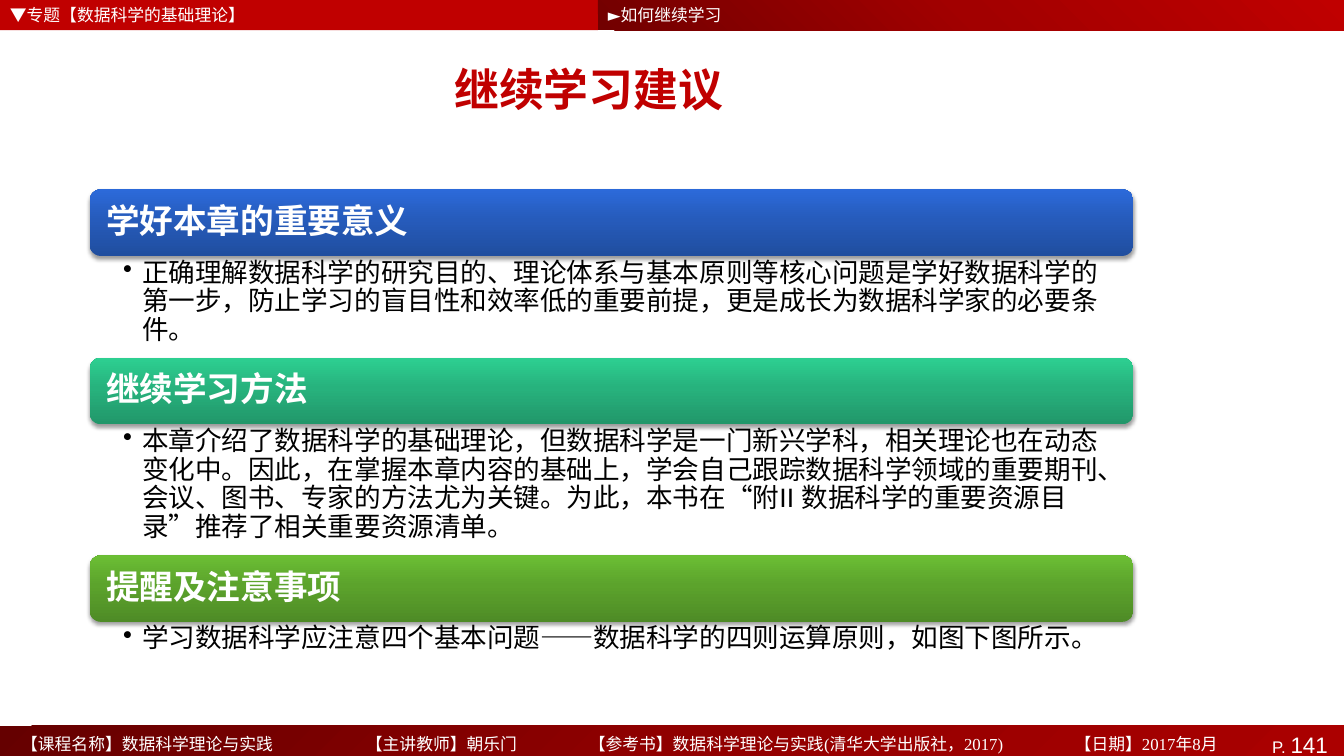
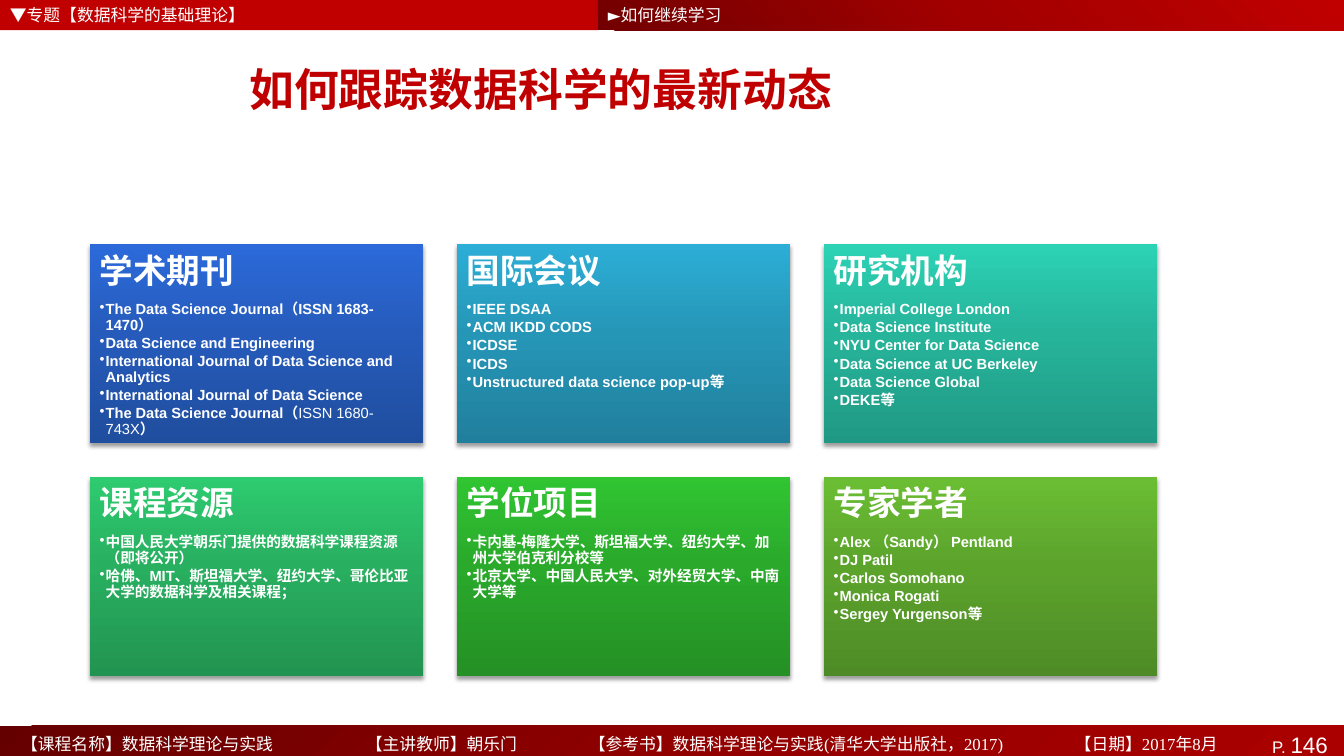
from lxml import etree
from copy import deepcopy
from pptx import Presentation
from pptx.dml.color import RGBColor
from pptx.enum.shapes import MSO_SHAPE
from pptx.enum.text import MSO_ANCHOR, PP_ALIGN
from pptx.oxml.ns import qn
from pptx.util import Inches, Pt

RECTANGLE, ROUNDED = MSO_SHAPE.RECTANGLE, MSO_SHAPE.ROUNDED_RECTANGLE
TOP, MIDDLE = MSO_ANCHOR.TOP, MSO_ANCHOR.MIDDLE
LEFT, CENTER, RIGHT = PP_ALIGN.LEFT, PP_ALIGN.CENTER, PP_ALIGN.RIGHT

# Gradients: colours at 0 %, the middle stop and 100 %
HEADER_RED = ("720000", "A20000", "C00000")
FOOTER_RED = ("650000", "900000", "AB0000")
BLUE = ("204E9F", "265BBB", "2C6ADA")
CYAN = ("207F9C", "2696B7", "2CAED6")
TURQUOISE = ("209984", "26B49B", "2CD2B4")
TEAL = ("21976A", "27B27D", "2DCF91")
EMERALD = ("229451", "28AF60", "2ECB70")
GREEN = ("249025", "2AA92B", "31C532")
OLIVE = ("4E8B26", "5CA32C", "6BBE34")


def color(hex_string):
    return RGBColor.from_string(hex_string)


class Deck:
    WHITE, BLACK, RED = "FFFFFF", "000000", "C00000"
    SANS, SERIF, CHINESE = "Arial", "Times New Roman", "Noto Sans CJK SC"
    HEADERS = ("▼专题【数据科学的基础理论】", "►如何继续学习")
    FOOTER = ("【课程名称】数据科学理论与实践", "【主讲教师】朝乐门",
              "【参考书】数据科学理论与实践(清华大学出版社，2017)", "【日期】2017年8月")
    FOOTER_TABS = (3.42, 5.63, 10.45)

    def __init__(self):
        self.presentation = Presentation()
        self.presentation.slide_width = Inches(13.33)
        self.presentation.slide_height = Inches(7.5)
        self.slide = None

    # Text
    def frame(self, shape, insets=(0.1, 0.05, 0.1, 0.05), anchor=TOP):
        frame = shape.text_frame
        frame.word_wrap = True
        frame.vertical_anchor = anchor
        (frame.margin_left, frame.margin_top,
         frame.margin_right, frame.margin_bottom) = map(Inches, insets)
        return frame

    def text_box(self, left, top, width, height, insets, anchor=TOP):
        box = self.slide.shapes.add_textbox(
            Inches(left), Inches(top), Inches(width), Inches(height))
        return self.frame(box, insets, anchor)

    def set_text(self, paragraph, text, size, fill=WHITE, name=SANS, bold=False,
                 align=LEFT, line=None, after=0, bullet=None, tabs=()):
        paragraph.text = text
        paragraph.alignment = align
        paragraph.space_after = Pt(after)
        if line:
            paragraph.line_spacing = line
        properties = paragraph._p.get_or_add_pPr()
        if bullet:
            properties.set("marL", str(Inches(bullet)))
            properties.set("indent", str(-Inches(bullet)))
            etree.SubElement(properties, qn("a:buChar"), char="•")
        if tabs:
            tab_list = etree.SubElement(properties, qn("a:tabLst"))
            for position in tabs:
                etree.SubElement(tab_list, qn("a:tab"), pos=str(Inches(position)), algn="l")
        font = paragraph.font
        font.size, font.bold, font.name = Pt(size), bold, name
        font.color.rgb = color(fill)
        etree.SubElement(properties.find(qn("a:defRPr")), qn("a:ea"), typeface=self.CHINESE)

    # Filled shapes
    def block(self, kind, left, top, width, height, fill, angle=90, middle=55):
        shape = self.slide.shapes.add_shape(
            kind, Inches(left), Inches(top), Inches(width), Inches(height))
        shape.shadow.inherit = False
        shape.line.fill.background()
        if isinstance(fill, str):
            shape.fill.solid()
            shape.fill.fore_color.rgb = color(fill)
            return shape
        shape.fill.gradient()
        shape.fill.gradient_angle = angle
        stop_list = shape._element.spPr.find(".//" + qn("a:gsLst"))
        stop_list.append(deepcopy(stop_list[0]))
        for stop, hex_string, percent in zip(shape.fill.gradient_stops, fill, (0, middle, 100)):
            stop.color.rgb = color(hex_string)
            stop.position = percent / 100
        return shape

    def shadowed(self, *arguments):
        shape = self.block(*arguments)
        effects = shape._element.spPr.find(qn("a:effectLst"))
        shadow = etree.SubElement(
            effects, qn("a:outerShdw"), blurRad=str(Pt(3.1)), dist=str(Pt(2)),
            dir="5400000", algn="ctr", rotWithShape="0")
        tint = etree.SubElement(shadow, qn("a:srgbClr"), val=self.BLACK)
        etree.SubElement(tint, qn("a:alpha"), val="38000")
        return shape

    # Shared header, footer and title
    def new_slide(self, title, title_width, page):
        self.slide = self.presentation.slides.add_slide(self.presentation.slide_layouts[6])
        bars = (self.block(RECTANGLE, 0, 0, 5.93, 0.3, self.RED),
                self.block(RECTANGLE, 5.93, 0, 7.4, 0.3, HEADER_RED, 45, 50))
        for bar, text in zip(bars, self.HEADERS):
            self.set_text(self.frame(bar, anchor=MIDDLE).paragraphs[0], text, 12)

        footer = self.block(RECTANGLE, 0, 7.2, 13.33, 0.37, FOOTER_RED, 315, 50)
        number = self.frame(footer, (0.1, 0.05, 0.16, 0.05), MIDDLE).paragraphs[0]
        self.set_text(number, "P. ", 12, align=RIGHT)
        run = number.add_run()
        run.text = str(page)
        run.font.size = Pt(16)
        details = self.text_box(0.21, 7.2, 12.3, 0.35, (0, 0, 0, 0), MIDDLE)
        self.set_text(details.paragraphs[0], "\t".join(self.FOOTER), 12,
                      name=self.SERIF, tabs=self.FOOTER_TABS)

        heading = self.text_box(0.44, 0.43, title_width, 0.9, (0.1, 0.05, 0.1, 0.05), MIDDLE)
        self.set_text(heading.paragraphs[0], title, 32, self.RED, self.CHINESE, True, CENTER)

    # Heading bar with a bulleted text below it
    def section(self, top, heading, text, text_height, fill):
        left, width, bar_height = 0.89, 10.35, 0.66
        bar = self.shadowed(ROUNDED, left, top, width, bar_height, fill)
        frame = self.frame(bar, (0.13, 0.1, 0.13, 0.1), MIDDLE)
        self.set_text(frame.paragraphs[0], heading, 24, bold=True, line=0.9)
        body = self.text_box(left, top + bar_height, width, text_height,
                             (0.33, 0.03, 0.19, 0.03))
        self.set_text(body.paragraphs[0], text, 19, self.BLACK, line=0.9, bullet=0.19)
        return top + bar_height + text_height

    # Card with a heading and small bullets
    def card(self, left, top, width, height, heading, items, fill):
        shape = self.shadowed(RECTANGLE, left, top, width, height, fill)
        frame = self.frame(shape, (0.1, 0.1, 0.1, 0.1))
        self.set_text(frame.paragraphs[0], heading, 24, bold=True, line=0.9, after=8.4)
        for item in items:
            paragraph = frame.add_paragraph()
            parts = (item,) if isinstance(item, str) else item
            self.set_text(paragraph, parts[0], 10.5, bold=True, line=0.9, after=1.6, bullet=0.06)
            for index, part in enumerate(parts[1:]):
                run = paragraph.add_run()
                run.text = part
                run.font.bold = index % 2 == 1


SECTIONS = (
    ("学好本章的重要意义",
     "正确理解数据科学的研究目的、理论体系与基本原则等核心问题是学好数据科学的第一步，"
     "防止学习的盲目性和效率低的重要前提，更是成长为数据科学家的必要条件。", 1.01, BLUE),
    ("继续学习方法",
     "本章介绍了数据科学的基础理论，但数据科学是一门新兴学科，相关理论也在动态变化中。"
     "因此，在掌握本章内容的基础上，学会自己跟踪数据科学领域的重要期刊、会议、图书、"
     "专家的方法尤为关键。为此，本书在“附II 数据科学的重要资源目录”推荐了相关重要资源清单。",
     1.3, TEAL),
    ("提醒及注意事项",
     "学习数据科学应注意四个基本问题——数据科学的四则运算原则，如图下图所示。", 0.43, OLIVE),
)

# An item given as a tuple alternates bold and regular parts
CARDS = (
    ("学术期刊", ("The Data Science Journal（ISSN 1683-1470）",
              "Data Science and Engineering",
              "International Journal of Data Science and Analytics",
              "International Journal of Data Science",
              ("The Data Science Journal（", "ISSN 1680-743X", "）")), BLUE),
    ("国际会议", ("IEEE DSAA", "ACM IKDD CODS", "ICDSE", "ICDS",
              "Unstructured data science pop-up等"), CYAN),
    ("研究机构", ("Imperial College London", "Data Science Institute",
              "NYU Center for Data Science", "Data Science at UC Berkeley",
              "Data Science Global", "DEKE等"), TURQUOISE),
    ("课程资源", ("中国人民大学朝乐门提供的数据科学课程资源（即将公开）",
              "哈佛、MIT、斯坦福大学、纽约大学、哥伦比亚大学的数据科学及相关课程；"), EMERALD),
    ("学位项目", ("卡内基-梅隆大学、斯坦福大学、纽约大学、加州大学伯克利分校等",
              "北京大学、中国人民大学、对外经贸大学、中南大学等"), GREEN),
    ("专家学者", ("Alex （Sandy） Pentland", "DJ Patil", "Carlos Somohano",
              "Monica Rogati", "Sergey Yurgenson等"), OLIVE),
)


def main():
    deck = Deck()

    # Study advice
    deck.new_slide("继续学习建议", 10.8, 141)
    top = 1.88
    for heading, text, text_height, fill in SECTIONS:
        top = deck.section(top, heading, text, text_height, fill)

    # Resources in a grid of three columns
    deck.new_slide("如何跟踪数据科学的最新动态", 9.85, 146)
    width, height, gap = 3.31, 1.98, 0.33
    for index, (heading, items, fill) in enumerate(CARDS):
        row, column = divmod(index, 3)
        deck.card(0.89 + column * (width + gap), 2.42 + row * (height + gap),
                  width, height, heading, items, fill)

    deck.presentation.save("out.pptx")


if __name__ == "__main__":
    main()
